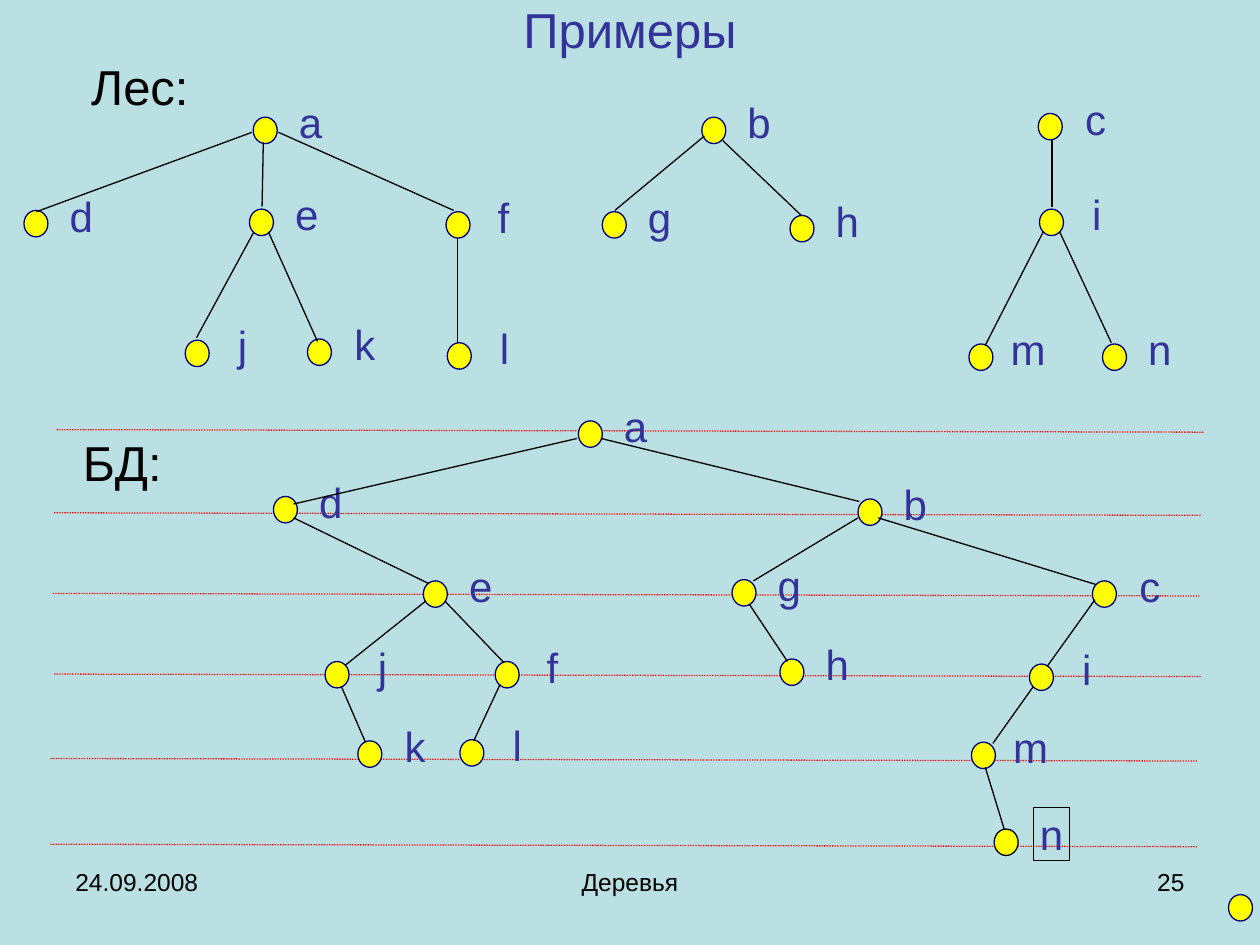
from dataclasses import dataclass
from lxml import etree
from pptx import Presentation
from pptx.dml.color import RGBColor
from pptx.enum.dml import MSO_LINE
from pptx.enum.shapes import MSO_CONNECTOR, MSO_SHAPE
from pptx.enum.text import MSO_ANCHOR, MSO_AUTO_SIZE, PP_ALIGN
from pptx.oxml.ns import qn
from pptx.util import Cm, Pt

OVAL = MSO_SHAPE.OVAL
LINE = MSO_CONNECTOR.STRAIGHT
DOTS = MSO_LINE.ROUND_DOT
TOP, MID = MSO_ANCHOR.TOP, MSO_ANCHOR.MIDDLE
FIT, FIXED = MSO_AUTO_SIZE.SHAPE_TO_FIT_TEXT, MSO_AUTO_SIZE.NONE
LEFT, CENTER, RIGHT = PP_ALIGN.LEFT, PP_ALIGN.CENTER, PP_ALIGN.RIGHT


@dataclass(frozen=True)
class Theme:
    back: str = "BBE0E3"
    ink: str = "000000"
    name: str = "333399"
    dot: str = "FFFF00"
    rim: str = "000080"
    level: str = "FF0000"
    face: str = "Arial"
    head: int = 28
    mark: int = 24
    foot: int = 14
    thin: float = 0.75


THEME = Theme()
DOT = (0.19, 0.21)
TAG = (0.31, -0.17, 0.29, 0.42)

FOREST_NODES = [
    ("a", 2.01, 0.53), ("b", 5.57, 0.53), ("c", 8.24, 0.5),
    ("d", 0.19, 1.27), ("e", 1.98, 1.26), ("f", 3.54, 1.28),
    ("g", 4.78, 1.28), ("h", 6.27, 1.31), ("i", 8.25, 1.26),
    ("j", 1.47, 2.3), ("k", 2.44, 2.29), ("l", 3.55, 2.32),
    ("m", 7.69, 2.33), ("n", 8.75, 2.33),
]
FOREST_EDGES = [
    (2, 0.65, 0.29, 1.28), (3.6, 1.27, 2.21, 0.65), (2.08, 1.24, 2.09, 0.73),
    (2.01, 1.45, 1.56, 2.28), (2.13, 1.44, 2.52, 2.31), (3.63, 2.32, 3.63, 1.49),
    (5.59, 0.68, 4.88, 1.27), (6.36, 1.31, 5.73, 0.71), (8.35, 1.24, 8.35, 0.71),
    (8.28, 1.44, 7.82, 2.34), (8.41, 1.44, 8.82, 2.32),
]
TREE_NODES = [
    ("a", 4.59, 0.34), ("d", 2.17, 0.94), ("b", 6.81, 0.96),
    ("e", 3.36, 1.61), ("g", 5.81, 1.6), ("c", 8.67, 1.61),
    ("j", 2.58, 2.25), ("f", 3.93, 2.25), ("h", 6.19, 2.23), ("i", 8.17, 2.27),
    ("k", 2.84, 2.88), ("l", 3.65, 2.87), ("m", 7.71, 2.89),
]
TREE_EDGES = [
    (4.58, 0.48, 2.33, 1), (4.77, 0.48, 6.82, 0.98), (2.33, 1.11, 3.4, 1.63),
    (3.38, 1.77, 2.74, 2.28), (3.53, 1.77, 4, 2.26), (2.71, 2.45, 2.9, 2.89),
    (3.97, 2.43, 3.76, 2.88), (6.81, 1.11, 5.98, 1.61), (6.97, 1.11, 8.7, 1.64),
    (5.95, 1.8, 6.25, 2.25), (8.69, 1.76, 8.31, 2.29), (8.2, 2.45, 7.88, 2.9),
    (7.82, 3.09, 7.97, 3.58),
]
LEVELS = [(0.45, 0.41), (0.43, 1.07), (0.42, 1.71), (0.43, 2.35), (0.4, 3.02), (0.4, 3.7)]


def span(*inches):
    return [Cm(2.54 * inch) for inch in inches]


def rgb(tone):
    return RGBColor.from_string(tone)


def put(item, **values):
    for key, value in values.items():
        setattr(item, key, value)


def write(shape, text, size, tone, align=CENTER, pad=(0.1, 0.05), anchor=TOP, fit=FIXED):
    side, edge = span(*pad)
    frame = shape.text_frame
    put(frame, text=text, word_wrap=True, auto_size=fit, vertical_anchor=anchor,
        margin_left=side, margin_right=side, margin_top=edge, margin_bottom=edge)
    line = frame.paragraphs[0]
    put(line, alignment=align)
    put(line.font, size=Pt(size), name=THEME.face, bold=False)
    line.font.color.rgb = rgb(tone)


def label(shapes, box, text, size, tone, **style):
    shape = shapes.add_textbox(*span(*box))
    write(shape, text, size, tone, **style)
    return shape


def stroke(line, tone):
    line.color.rgb = rgb(tone)
    line.width = Pt(THEME.thin)


def draw_edge(shapes, ends, tone=THEME.ink, dash=None):
    edge = shapes.add_connector(LINE, *span(*ends))
    stroke(edge.line, tone)
    edge.line.dash_style = dash
    etree.SubElement(edge._element.spPr, qn("a:effectLst"))


def draw_dot(shapes, x, y, rim=THEME.rim):
    dot = shapes.add_shape(OVAL, *span(x, y, *DOT))
    dot.shadow.inherit = False
    dot.fill.solid()
    dot.fill.fore_color.rgb = rgb(THEME.dot)
    stroke(dot.line, rim)


def draw_node(shapes, name, x, y, rim=THEME.rim):
    group = shapes.add_group_shape().shapes
    draw_dot(group, x, y, rim)
    dx, dy, wide, high = TAG
    return label(group, (x + dx, y + dy, wide, high), name, THEME.mark, THEME.name,
                 pad=(0.02, 0.01), fit=FIT)


def draw_graph(shapes, box, nodes, edges):
    left, top = box
    for name, x, y in nodes:
        draw_node(shapes, name, left + x, top + y)
    for x1, y1, x2, y2 in edges:
        draw_edge(shapes, (left + x1, top + y1, left + x2, top + y2))


def draw_forest(shapes, box):
    left, top = box
    draw_graph(shapes, box, FOREST_NODES, FOREST_EDGES)
    label(shapes, (left + 0.4, top, 1.42, 0.57), "Лес:", THEME.head, THEME.ink, fit=FIT)


def draw_tree(shapes, box):
    left, top = box
    for x, y in LEVELS:
        ends = (left + x, top + y, left + x + 9.1, top + y + 0.02)
        draw_edge(shapes, ends, THEME.level, DOTS)
    draw_graph(shapes, box, TREE_NODES, TREE_EDGES)
    last = draw_node(shapes, "n", left + 7.89, top + 3.58, THEME.ink)
    stroke(last.line, THEME.ink)
    label(shapes, (left + 0.26, top + 0.38, 1.42, 0.57), "БД:", THEME.head, THEME.ink, fit=FIT)


def draw_title(title, box):
    put(title, **dict(zip(("left", "top", "width", "height"), span(*box))))
    write(title, "Примеры", THEME.head, THEME.name, anchor=MID)


def draw_foot(shapes, box):
    left, top, wide, high = box
    parts = [("24.09.2008", 0, 2.33, LEFT), ("Деревья", (wide - 3.17) / 2, 3.17, CENTER),
             ("25", wide - 2.33, 2.33, RIGHT)]
    for text, x, width, align in parts:
        label(shapes, (left + x, top, width, high), text, THEME.foot, THEME.ink, align=align)


def main():
    deck = Presentation()
    deck.slide_width, deck.slide_height = span(10, 7.5)
    slide = deck.slides.add_slide(deck.slide_layouts[5])
    fill = slide.background.fill
    fill.solid()
    fill.fore_color.rgb = rgb(THEME.back)
    shapes = slide.shapes
    draw_title(shapes.title, (0.5, 0, 9, 0.46))
    draw_forest(shapes, (0, 0.4))
    draw_tree(shapes, (0, 3))
    draw_dot(shapes, 9.75, 7.1)
    draw_foot(shapes, (0.5, 6.83, 9, 0.52))
    deck.save("out.pptx")


if __name__ == "__main__":
    main()
